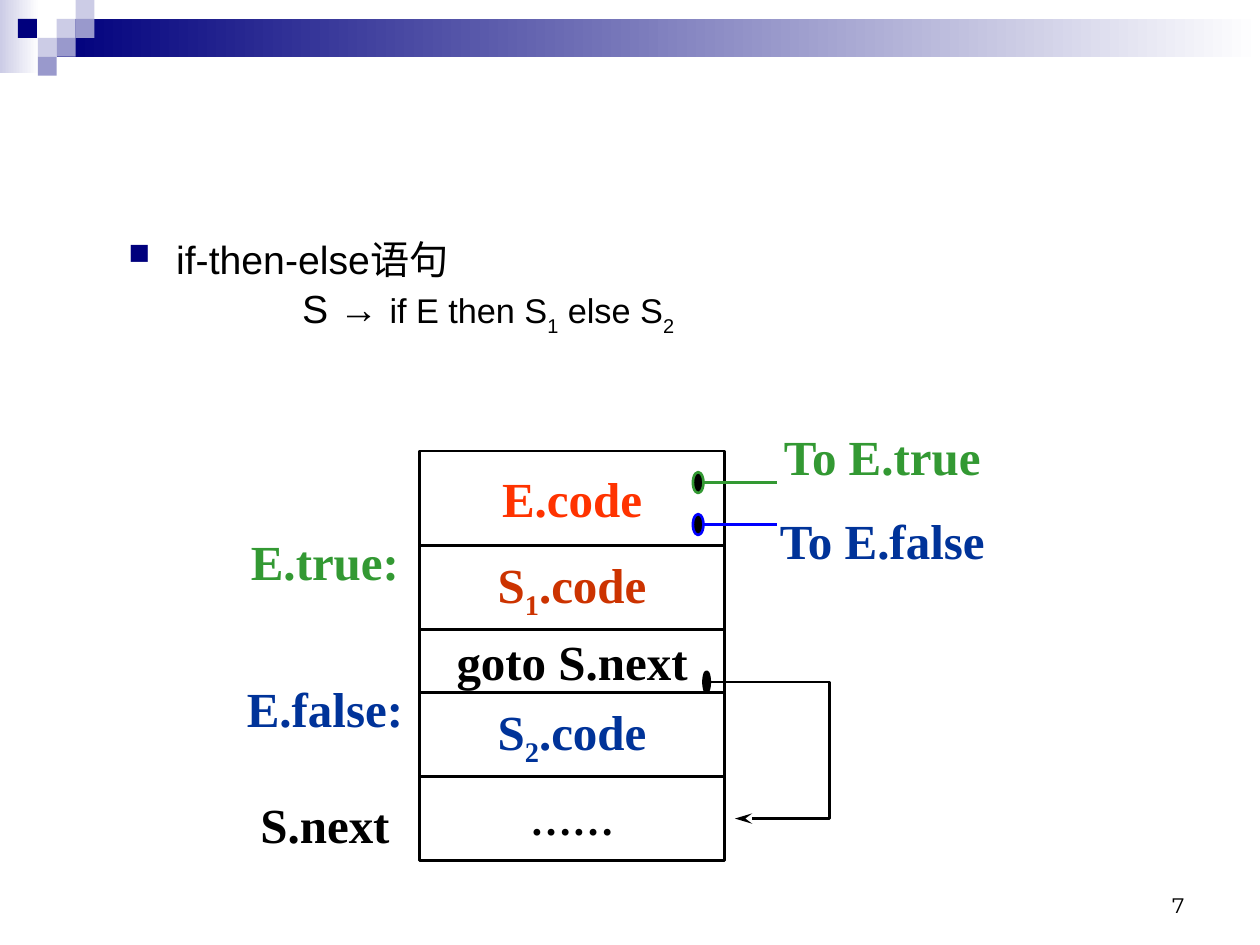
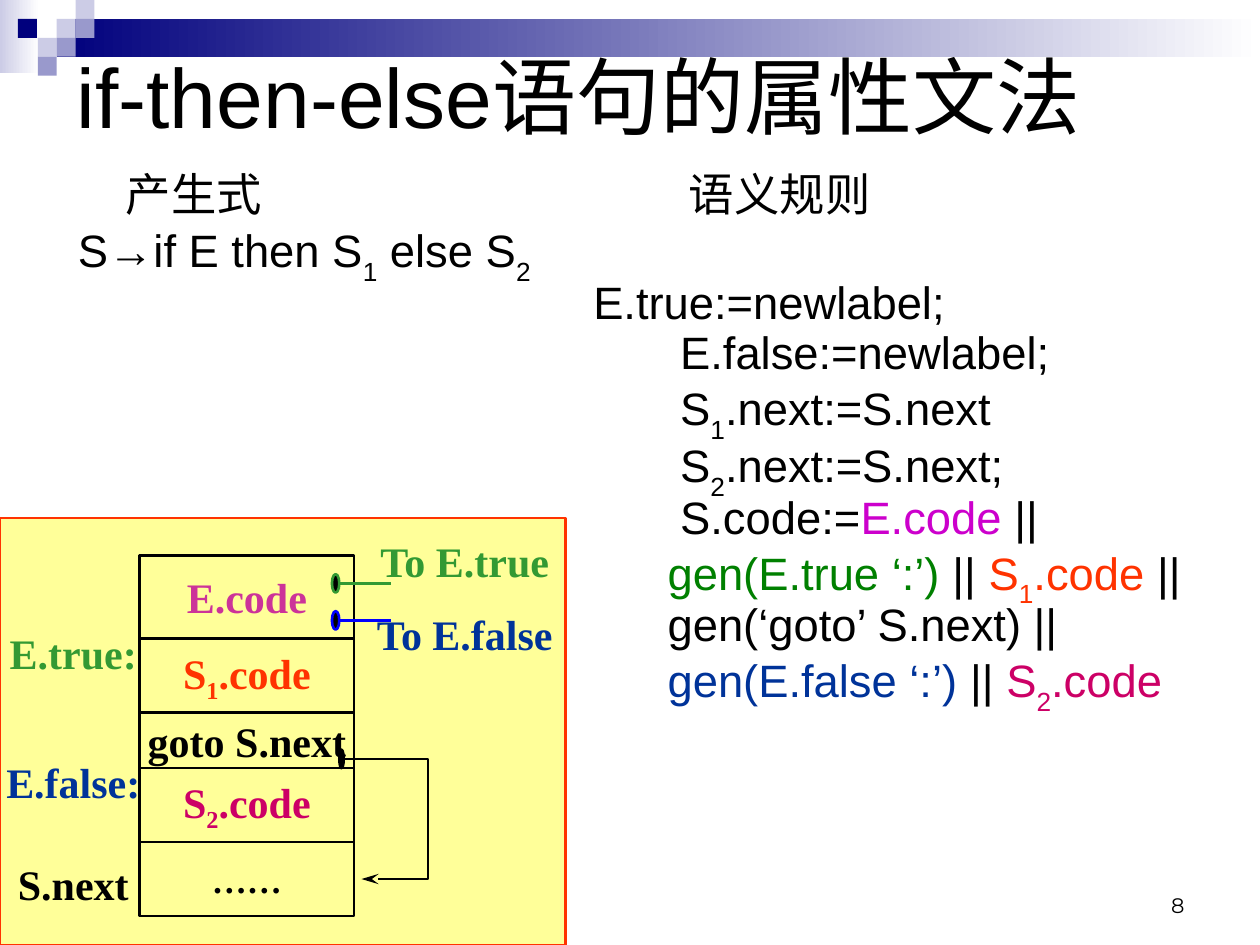
"""Build two slides on the translation of if-then-else statements."""
from dataclasses import dataclass

from lxml import etree
from pptx import Presentation
from pptx import util as u
from pptx.dml.color import RGBColor
from pptx.enum import shapes, text
from pptx.oxml.ns import qn


@dataclass(frozen=True)
class Theme:
    """Colours, fonts and type sizes of the deck."""
    black: str = "000000"
    white: str = "FFFFFF"
    navy: str = "00007D"
    lavender: str = "9999CC"
    pale: str = "CCCCE6"
    green: str = "339933"
    dark_green: str = "008000"
    blue: str = "003399"
    bright_blue: str = "0000FF"
    red: str = "FF3300"
    brick: str = "CC3300"
    violet: str = "CC00CC"
    orchid: str = "CC3399"
    crimson: str = "CC0066"
    cream: str = "FFFF99"
    sans: str = "Arial"
    serif: str = "Times New Roman"
    number_font: str = "Montserrat"
    title_size: float = 48
    rules_size: float = 25.9
    heading_size: float = 22.4
    production_size: float = 19.6
    number_size: float = 12
    line_width: float = 1.5
    line_spacing: float = 0.7


THEME = Theme()


@dataclass(frozen=True)
class Area:
    """A rectangle in columns and rows of a grid."""
    column: float
    row: float
    columns: float
    rows: float


@dataclass(frozen=True)
class Grid:
    """A grid with its origin and cell size in inches."""
    left: float
    top: float
    cell_width: float
    cell_height: float

    def point(self, column: float, row: float) -> tuple:
        """Return a grid point as slide lengths."""
        return (u.Inches(self.left + column * self.cell_width),
                u.Inches(self.top + row * self.cell_height))

    def place(self, area: Area) -> tuple:
        """Return left, top, width and height of an area."""
        size = (u.Inches(area.columns * self.cell_width),
                u.Inches(area.rows * self.cell_height))
        return self.point(area.column, area.row) + size


@dataclass(frozen=True)
class Run:
    """A piece of text with one format."""
    text: str
    color: str = THEME.black
    subscript: int = 0
    size: float = 0


@dataclass(frozen=True)
class Line:
    """A paragraph with its indent in inches."""
    runs: list
    indent: float = 0
    bullet: bool = False


@dataclass(frozen=True)
class Stack:
    """The code layout diagram of one slide."""
    grid: Grid
    size: float
    code_color: str
    then_color: str
    else_color: str


PAGE = Grid(0, 0, 0.1, 0.1)
MOSAIC = Grid(0, 0, 0.15, 0.15)
STACK_COLUMNS, STACK_ROWS = 29, 39
TILES = [(3, 1, THEME.pale), (4, 0, THEME.pale), (4, 1, THEME.lavender),
         (2, 2, THEME.pale), (0.95, 1, THEME.navy), (3, 2, THEME.lavender),
         (2, 3, THEME.lavender)]


def indexed(symbol: str, index: str, rest: str, color: str = THEME.black,
            drop: int = 30) -> list:
    """Return runs for a symbol with a subscript index."""
    return [Run(symbol, color), Run(index, color, drop), Run(rest, color)]


def add_runs(paragraph, runs: list, font_name: str, size: float, bold: bool = False) -> None:
    """Add formatted runs to a paragraph."""
    for piece in runs:
        run = paragraph.add_run()
        run.text = piece.text
        run.font.name = font_name
        run.font.size = u.Pt(piece.size or size)
        run.font.bold = bold
        run.font.color.rgb = RGBColor.from_string(piece.color)
        if piece.subscript:
            run._r.get_or_add_rPr().set("baseline", str(-1000 * piece.subscript))


def add_box(slide, grid: Grid, area: Area, fill: str = "", line: str = "",
            kind=shapes.MSO_SHAPE.RECTANGLE):
    """Add a preset shape with optional fill and outline."""
    shape = slide.shapes.add_shape(kind, *grid.place(area))
    format_shape(shape, fill, line)
    return shape


def format_shape(shape, fill: str, line: str) -> None:
    """Set fill and outline and remove the shadow."""
    shape.shadow.inherit = False
    if fill:
        shape.fill.solid()
        shape.fill.fore_color.rgb = RGBColor.from_string(fill)
    else:
        shape.fill.background()
    if line:
        shape.line.color.rgb = RGBColor.from_string(line)
        shape.line.width = u.Pt(THEME.line_width)
    else:
        shape.line.fill.background()


def add_band(slide, area: Area, start: str) -> None:
    """Add a band that fades to white."""
    band = add_box(slide, MOSAIC, area)
    band.fill.gradient()
    band.fill.gradient_angle = 0
    for stop, color, position in zip(band.fill.gradient_stops, (start, THEME.white), (0, 1)):
        stop.color.rgb = RGBColor.from_string(color)
        stop.position = position


def add_frame(slide, number: int) -> None:
    """Draw the header mosaic and the slide number."""
    add_band(slide, Area(0, 0, 2.07, 3.87), THEME.pale)
    add_band(slide, Area(3, 1, 63.67, 2), THEME.navy)
    for column, row, color in TILES:
        add_box(slide, MOSAIC, Area(column, row, 1, 1), color)
    frame = slide.shapes.add_textbox(*PAGE.place(Area(71.7, 68.3, 23.3, 5))).text_frame
    frame.word_wrap = True
    frame.vertical_anchor = text.MSO_ANCHOR.BOTTOM
    paragraph = frame.paragraphs[0]
    paragraph.alignment = text.PP_ALIGN.RIGHT
    add_runs(paragraph, [Run(str(number))], THEME.number_font, THEME.number_size)


def add_lines(slide, area: Area, lines: list, size: float) -> None:
    """Add a text box of indented lines."""
    frame = slide.shapes.add_textbox(*PAGE.place(area)).text_frame
    frame.word_wrap = True
    for index, line in enumerate(lines):
        paragraph = frame.add_paragraph() if index else frame.paragraphs[0]
        properties = paragraph._p.get_or_add_pPr()
        properties.set("marL", str(u.Inches(line.indent)))
        properties.set("indent", str(-u.Inches(line.indent) if line.bullet else 0))
        paragraph.line_spacing = THEME.line_spacing
        paragraph.space_before = u.Pt(7 if index else 0)
        if line.bullet:
            color = etree.SubElement(properties, qn("a:buClr"))
            etree.SubElement(color, qn("a:srgbClr"), val=THEME.navy)
            etree.SubElement(properties, qn("a:buSzPct"), val="75000")
            etree.SubElement(properties, qn("a:buChar"), char="■")
        add_runs(paragraph, line.runs, THEME.sans, size)


def add_label(shape, runs: list, size: float) -> None:
    """Write centred bold text on one line into a shape."""
    frame = shape.text_frame
    frame.word_wrap = False
    frame.vertical_anchor = text.MSO_ANCHOR.MIDDLE
    frame.margin_left = frame.margin_right = u.Inches(0.1)
    frame.margin_top = frame.margin_bottom = u.Inches(0.05)
    frame.paragraphs[0].alignment = text.PP_ALIGN.CENTER
    add_runs(frame.paragraphs[0], runs, THEME.serif, size, bold=True)


def add_exit(slide, grid: Grid, row: float, color: str) -> None:
    """Draw a jump that leaves the condition code."""
    line = slide.shapes.add_connector(
        shapes.MSO_CONNECTOR.STRAIGHT, *grid.point(27, row), *grid.point(34, row))
    line.line.color.rgb = RGBColor.from_string(color)
    line.line.width = u.Pt(THEME.line_width)
    etree.SubElement(line._element.spPr, qn("a:effectLst"))
    add_box(slide, grid, Area(26, row - 1, 1, 2), THEME.black, color, shapes.MSO_SHAPE.OVAL)


def add_goto_arrow(slide, grid: Grid) -> None:
    """Draw the jump from the goto cell to the next statement."""
    start, *corners = [grid.point(*corner)
                       for corner in ((27.6, 22), (39, 22), (39, 35), (30, 35))]
    builder = slide.shapes.build_freeform(*start)
    builder.add_line_segments(corners, close=False)
    arrow = builder.convert_to_shape()
    format_shape(arrow, "", THEME.black)
    etree.SubElement(arrow.line._get_or_add_ln(), qn("a:tailEnd"), type="stealth", len="lg")
    add_box(slide, grid, Area(27, 21, 0.6, 2), THEME.black, THEME.black,
            shapes.MSO_SHAPE.OVAL)


def add_stack(slide, stack: Stack) -> None:
    """Draw the stacked code cells, labels and jumps."""
    cells = [(9, [Run("E.code", stack.code_color)]),
             (8, indexed("S", "1", ".code", stack.then_color, 25)),
             (6, [Run("goto S.next")]),
             (8, indexed("S", "2", ".code", stack.else_color, 25)),
             (8, [Run("……", size=stack.size - 4)])]
    row = 0
    for rows, runs in cells:
        cell = add_box(slide, stack.grid, Area(0, row, STACK_COLUMNS, rows), line=THEME.black)
        add_label(cell, runs, stack.size)
        row += rows
    labels = [(35, -3, "To E.true", THEME.green), (35, 5, "To E.false", THEME.blue),
              (-18, 7, "E.true:", THEME.green), (-18, 21, "E.false:", THEME.blue),
              (-18, 32, "S.next", THEME.black)]
    for column, row, words, color in labels:
        label = add_box(slide, stack.grid, Area(column, row, 18, 7))
        add_label(label, [Run(words, color)], stack.size)
    add_exit(slide, stack.grid, 3, THEME.green)
    add_exit(slide, stack.grid, 7, THEME.bright_blue)
    add_goto_arrow(slide, stack.grid)


def build_statement_slide(presentation) -> None:
    """Build the slide with the statement and its code layout."""
    slide = presentation.slides.add_slide(presentation.slide_layouts[6])
    add_frame(slide, 7)
    small = THEME.production_size
    production = [Run("S → "), Run("if E then S", size=small), Run("1", THEME.black, 30, small),
                  Run(" else S", size=small), Run("2", THEME.black, 30, small)]
    add_lines(slide, Area(9.2, 19.2, 85.8, 7.5),
              [Line([Run("if-then-else语句")], 0.38, bullet=True), Line(production, 1.38)],
              THEME.heading_size)
    grid = Grid(3.33, 3.58, 2.42 / STACK_COLUMNS, 3.25 / STACK_ROWS)
    add_stack(slide, Stack(grid, 28, THEME.red, THEME.brick, THEME.blue))


def build_grammar_slide(presentation) -> None:
    """Build the slide with the attribute grammar."""
    slide = presentation.slides.add_slide(presentation.slide_layouts[5])
    add_frame(slide, 8)
    title = slide.shapes.title
    title.left, title.top, title.width, title.height = PAGE.place(Area(5.1, 0, 90, 15))
    title.text_frame.vertical_anchor = text.MSO_ANCHOR.MIDDLE
    heading = title.text_frame.paragraphs[0]
    heading.alignment = text.PP_ALIGN.LEFT
    add_runs(heading, [Run("if-then-else语句的属性文法")], THEME.sans, THEME.title_size)
    rule, code = 4.78, 4.68
    lines = [
        Line([Run("产生式")], 0.38),
        Line(indexed("S→if E then S", "1", " else S") + [Run("2", subscript=30)]),
        Line([Run("E.true:=newlabel;")], 4.09),
        Line([Run("E.false:=newlabel;")], rule),
        Line(indexed("S", "1", ".next:=S.next"), rule),
        Line(indexed("S", "2", ".next:=S.next;"), rule),
        Line([Run("S.code:="), Run("E.code", THEME.violet), Run(" ||")], rule),
        Line([Run("gen(E.true ‘:’)", THEME.dark_green), Run(" || "),
              *indexed("S", "1", ".code", THEME.red), Run(" ||")], code),
        Line([Run("gen(‘goto’ S.next) ||")], code),
        Line([Run("gen(E.false ‘:’)", THEME.blue), Run(" || "),
              *indexed("S", "2", ".code", THEME.crimson)], code)]
    add_lines(slide, Area(5.2, 13.9, 94.8, 45), lines, THEME.rules_size)
    add_lines(slide, Area(53.7, 13.9, 30, 5), [Line([Run("语义规则")])], THEME.rules_size)
    add_box(slide, PAGE, Area(0, 41.1, 44.9, 33.9), THEME.cream, THEME.red)
    grid = Grid(1.11, 4.41, 1.7 / STACK_COLUMNS, 2.86 / STACK_ROWS)
    add_stack(slide, Stack(grid, 24, THEME.orchid, THEME.red, THEME.crimson))


def main() -> None:
    """Create and save the presentation."""
    presentation = Presentation()
    presentation.slide_width, presentation.slide_height = u.Inches(10), u.Inches(7.5)
    build_statement_slide(presentation)
    build_grammar_slide(presentation)
    presentation.save("out.pptx")


if __name__ == "__main__":
    main()
